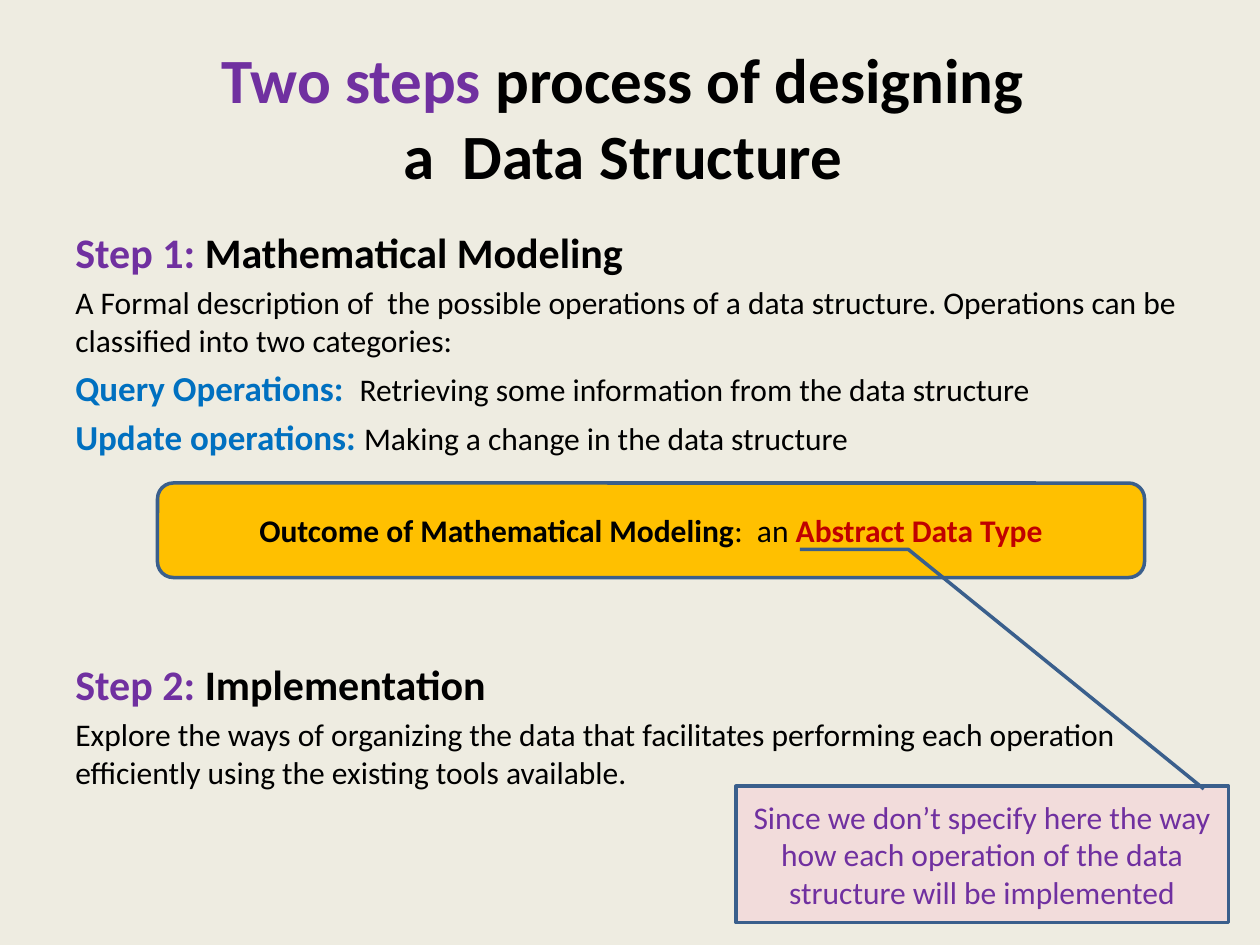
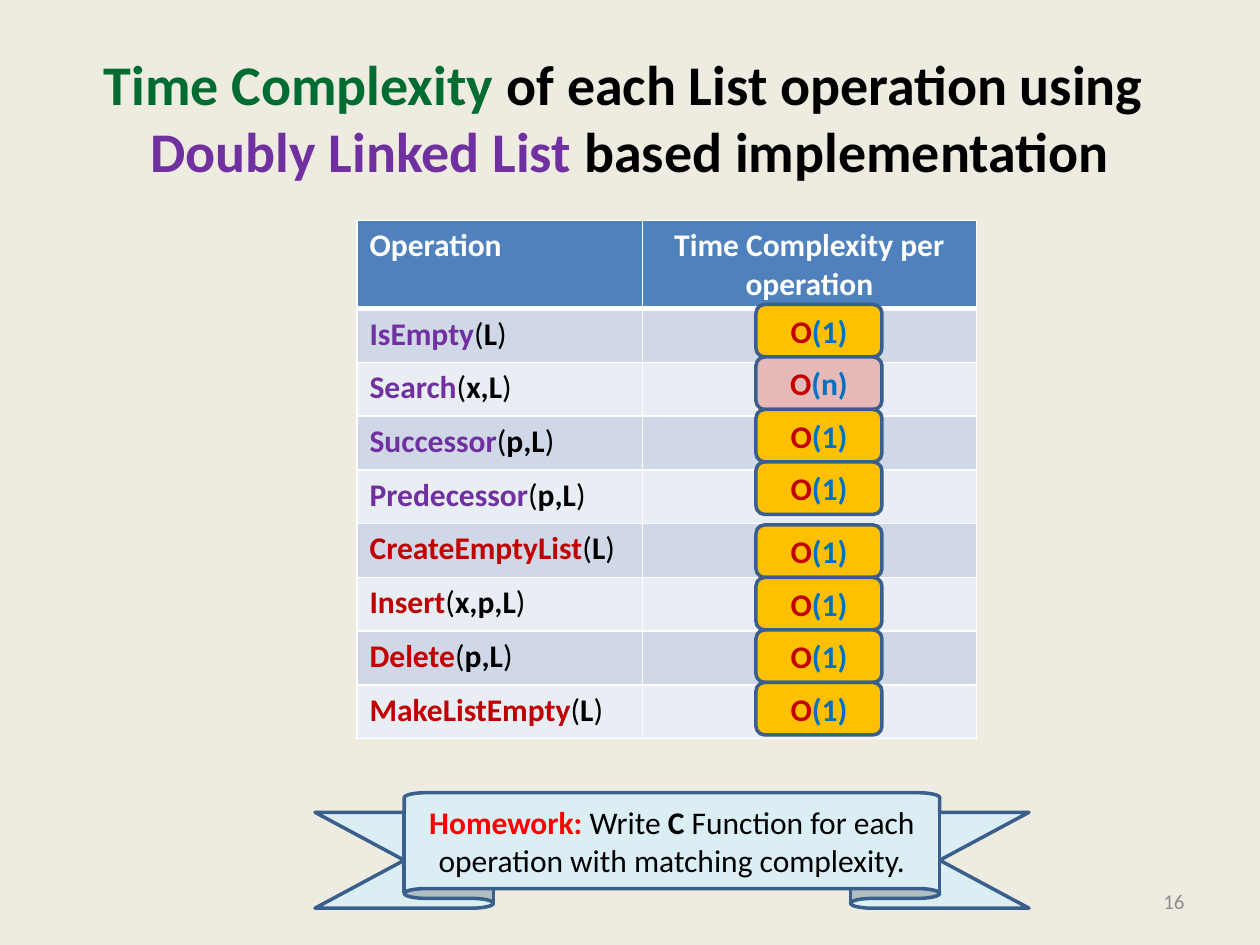
from lxml import etree
from pptx import Presentation, util as u
from pptx.dml.color import RGBColor
from pptx.enum import shapes, text
from pptx.oxml import ns

Pt = u.Pt
SHAPE = shapes.MSO_SHAPE
LEFT, CENTER, RIGHT = text.PP_ALIGN.LEFT, text.PP_ALIGN.CENTER, text.PP_ALIGN.RIGHT
TOP, MIDDLE = text.MSO_ANCHOR.TOP, text.MSO_ANCHOR.MIDDLE

# Shared palette
PAPER, BLACK, WHITE, GREY = "EEECE1", "000000", "FFFFFF", "8C8C8C"
PURPLE, BLUE, GREEN, RED, BRIGHT_RED = "7030A0", "0070C0", "006C31", "C00000", "FF0000"
AMBER, ROSE, PALE_ROSE, PALE_BLUE = "FFC000", "E6B9B8", "F2DCDB", "DBEEF4"
OUTLINE, HEADER, BANDS = "3A5F8C", "4F81BD", ("D0D8E8", "E9EDF4")


def color(value):
    return RGBColor.from_string(value)


def span(words, size=18, tint=BLACK, bold=False):
    return words, size, tint, bold


class Pages:
    """Holds the deck, its style and the current page."""

    font = "Calibri"

    def __init__(self):
        self.deck = Presentation()
        self.deck.slide_width, self.deck.slide_height = Pt(720), Pt(540)
        self.page = None

    def new_page(self, title):
        self.page = self.deck.slides.add_slide(self.deck.slide_layouts[6])
        self.page.background.fill.solid()
        self.page.background.fill.fore_color.rgb = color(PAPER)
        self.text_box((36, 21.6, 648, 90), [title], CENTER, MIDDLE)

    def fill_text(self, frame, paragraphs, align=LEFT, gaps=()):
        """Fill a frame; each paragraph is a list of spans, a newline breaks a line."""
        for index, spans in enumerate(paragraphs):
            para = frame.paragraphs[0] if index == 0 else frame.add_paragraph()
            para.alignment = align
            if gaps:
                para.space_before = Pt(gaps[index])
            for words, size, tint, bold in spans:
                for number, line in enumerate(words.split("\n")):
                    if number:
                        para.add_line_break()
                    if line:
                        run = para.add_run()
                        run.text = line
                        run.font.name, run.font.size = self.font, Pt(size)
                        run.font.bold = bold
                        run.font.color.rgb = color(tint)

    def text_box(self, place, paragraphs, align=LEFT, anchor=TOP, gaps=()):
        box = self.page.shapes.add_textbox(*map(Pt, place))
        box.text_frame.word_wrap = True
        box.text_frame.vertical_anchor = anchor
        self.fill_text(box.text_frame, paragraphs, align, gaps)

    def shape(self, kind, place, fill, spans, adjust=()):
        shape = self.page.shapes.add_shape(kind, *map(Pt, place))
        shape.shadow.inherit = False
        shape.fill.solid()
        shape.fill.fore_color.rgb = color(fill)
        shape.line.color.rgb = color(OUTLINE)
        shape.line.width = Pt(2)
        for index, value in enumerate(adjust):
            shape.adjustments[index] = value
        shape.text_frame.word_wrap = True
        shape.text_frame.vertical_anchor = MIDDLE
        self.fill_text(shape.text_frame, [spans], CENTER)

    def table(self, place, widths, heights, rows):
        """Each row is a list of cells, each cell a list of spans."""
        frame = self.page.shapes.add_table(len(rows), len(widths), *map(Pt, place))
        table = frame.table
        for column, width in zip(table.columns, widths):
            column.width = Pt(width)
        for r, cells in enumerate(rows):
            table.rows[r].height = Pt(heights[r])
            for c, spans in enumerate(cells):
                cell = table.cell(r, c)
                cell.fill.solid()
                cell.fill.fore_color.rgb = color(BANDS[(r - 1) % 2] if r else HEADER)
                self.fill_text(cell.text_frame, [spans], LEFT if r or not c else CENTER)
                self.cell_borders(cell, top=3 if r == 1 else 1, bottom=1 if r else 3)

    def cell_borders(self, cell, top, bottom):
        properties = cell._tc.get_or_add_tcPr()
        sides = (("a:lnL", 1), ("a:lnR", 1), ("a:lnT", top), ("a:lnB", bottom))
        for index, (side, width) in enumerate(sides):
            border = etree.Element(ns.qn(side), w=str(Pt(width)))
            fill = etree.SubElement(border, ns.qn("a:solidFill"))
            etree.SubElement(fill, ns.qn("a:srgbClr"), val=WHITE)
            properties.insert(index, border)


def design_steps(pages):
    pages.new_page([
        span("Two steps ", 36, PURPLE, True),
        span("process of designing \na  Data Structure ", 36, BLACK, True),
    ])

    # Both steps, with room for the outcome between them
    pages.text_box((36, 126, 648, 356.4), [
        [span("Step 1:", 24, PURPLE, True), span(" Mathematical Modeling", 24, bold=True)],
        [span("A Formal description of  the possible operations of a data structure. "
              "Operations can be classified into two categories:")],
        [span("Query Operations:  ", 20, BLUE, True),
         span("Retrieving some information from the data structure")],
        [span("Update operations: ", 20, BLUE, True),
         span("Making a change in the data structure")],
        [span("Step 2:", 24, PURPLE, True), span(" Implementation", 24, bold=True)],
        [span("Explore the ways of organizing the data that facilitates performing "
              "each operation efficiently using the existing tools available.")],
    ], gaps=(0, 3.6, 4, 4, 115, 3.6))

    # Outcome and its callout
    pages.shape(SHAPE.ROUNDED_RECTANGLE, (90, 276, 564, 54), AMBER, [
        span("Outcome of Mathematical Modeling", bold=True),
        span(":  an "),
        span("Abstract Data Type", tint=RED, bold=True),
    ])
    pages.shape(SHAPE.LINE_CALLOUT_2, (420.5, 449.3, 281.5, 77.8), PALE_ROSE, [
        span("Since we don’t specify here the way how each operation of the data "
             "structure will be implemented", tint=PURPLE),
    ], adjust=(0.02, 0.95, -1.74, 0.35, -1.74, 0.13))


def list_complexity(pages):
    pages.new_page([
        span("Time Complexity ", 32, GREEN, True),
        span("of each List operation using \n", 32, BLACK, True),
        span("Doubly Linked List ", 32, PURPLE, True),
        span("based implementation", 32, BLACK, True),
    ])

    # Operations: name, arguments, name colour, cost, top of the cost badge
    queries = [("IsEmpty", "L", "1"), ("Search", "x,L", "n"),
               ("Successor", "p,L", "1"), ("Predecessor", "p,L", "1")]
    updates = [("CreateEmptyList", "L", "1"), ("Insert", "x,p,L", "1"),
               ("Delete", "p,L", "1"), ("MakeListEmpty", "L", "1")]
    groups = ((queries, PURPLE, 174), (updates, RED, 300))
    operations = [(name, arguments, tint, cost, top + 30 * index)
                  for group, tint, top in groups
                  for index, (name, arguments, cost) in enumerate(group)]

    # Table
    rows = [[[span("Operation", tint=WHITE, bold=True)],
             [span("Time Complexity per operation", tint=WHITE, bold=True)]]]
    for name, arguments, tint, _, _ in operations:
        rows.append([[span(name, tint=tint, bold=True), span("("),
                      span(arguments, bold=True), span(")")], []])
    heights = [50.4] + [30.7] * len(operations)
    pages.table((204, 126, 354, sum(heights)), (163, 191), heights, rows)

    # Cost badges
    for _, _, _, cost, top in operations:
        pages.shape(SHAPE.ROUNDED_RECTANGLE, (432, top, 72, 30),
                    ROSE if cost == "n" else AMBER,
                    [span("O", tint=RED, bold=True),
                     span(f"({cost})", tint=BLUE, bold=True)])

    # Homework ribbon and page number
    pages.shape(SHAPE.UP_RIBBON, (180, 453, 408, 66), PALE_BLUE, [
        span("Homework:", tint=BRIGHT_RED, bold=True),
        span(" Write "),
        span("C", bold=True),
        span(" Function for each operation with matching complexity."),
    ], adjust=(0.17, 0.75))
    pages.text_box((516, 500.5, 168, 28.8), [[span("16", 12, GREY)]], RIGHT, MIDDLE)


def main():
    pages = Pages()
    design_steps(pages)
    list_complexity(pages)
    pages.deck.save("out.pptx")


if __name__ == "__main__":
    main()
